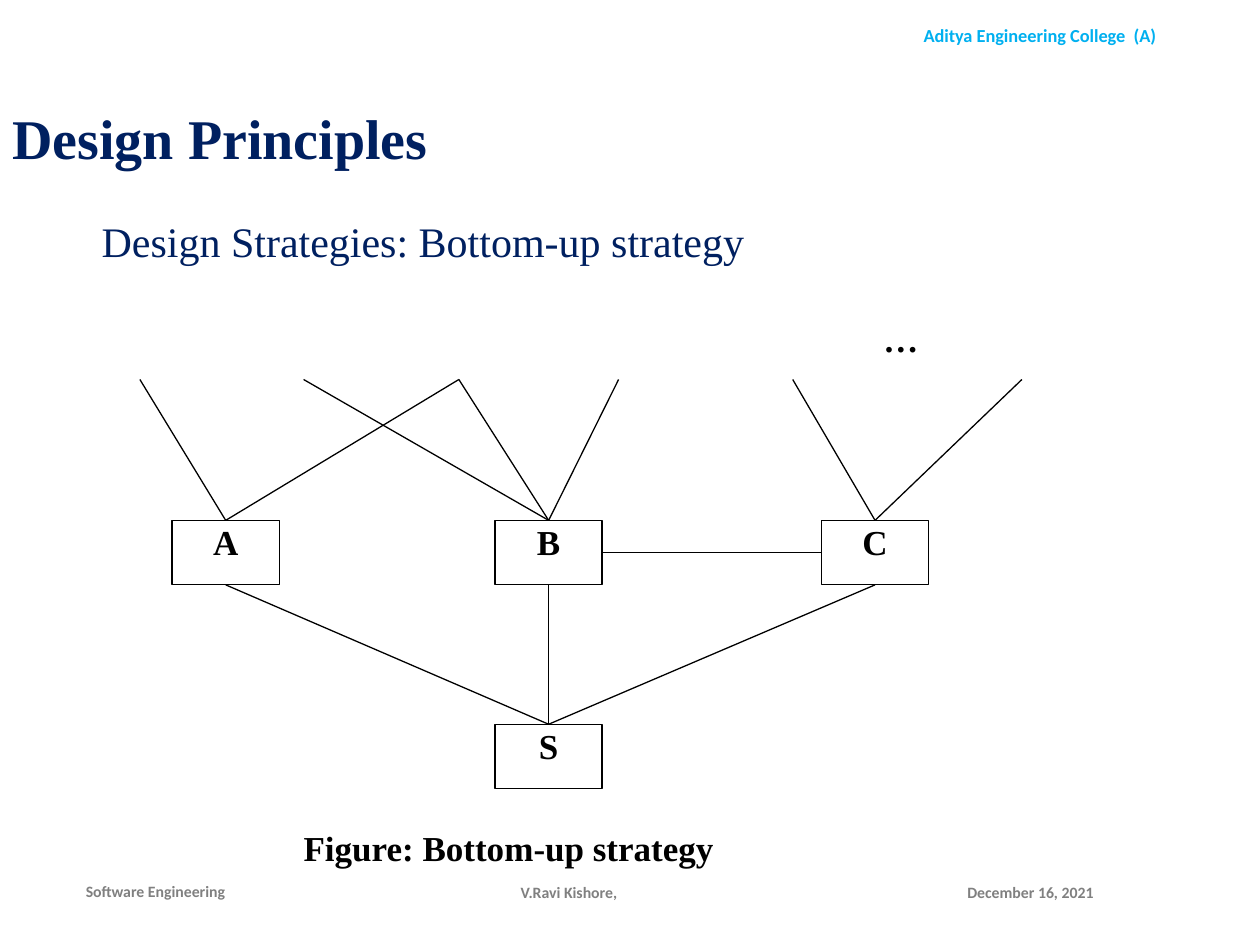
"""Build the slide on the bottom-up design strategy."""
from dataclasses import dataclass

from lxml import etree
from pptx import Presentation
from pptx.dml.color import RGBColor
from pptx.enum.shapes import MSO_CONNECTOR, MSO_SHAPE
from pptx.enum.text import MSO_ANCHOR, PP_ALIGN
from pptx.oxml.ns import qn
from pptx.util import Cm, Pt

RECTANGLE = MSO_SHAPE.RECTANGLE
STRAIGHT = MSO_CONNECTOR.STRAIGHT
LEFT, CENTER, JUSTIFY = PP_ALIGN.LEFT, PP_ALIGN.CENTER, PP_ALIGN.JUSTIFY
TOP, MIDDLE = MSO_ANCHOR.TOP, MSO_ANCHOR.MIDDLE


@dataclass(frozen=True)
class Theme:
    navy: RGBColor = RGBColor(0x00, 0x20, 0x60)
    sky: RGBColor = RGBColor(0x00, 0xB0, 0xF0)
    gray: RGBColor = RGBColor(0x80, 0x80, 0x80)
    black: RGBColor = RGBColor(0x00, 0x00, 0x00)
    white: RGBColor = RGBColor(0xFF, 0xFF, 0xFF)
    serif: str = "Times New Roman"
    sans: str = "Calibri"
    title: Pt = Pt(32)
    subtitle: Pt = Pt(24)
    label: Pt = Pt(20)
    header: Pt = Pt(10.5)
    footer: Pt = Pt(9)
    line: Pt = Pt(0.75)


theme = Theme()


def write(shape, text, font, size, color, bold=True, align=LEFT, anchor=TOP):
    frame = shape.text_frame
    frame.word_wrap = True
    frame.vertical_anchor = anchor
    frame.text = text
    para = frame.paragraphs[0]
    para.alignment = align
    span = para.runs[0]
    span.font.name, span.font.size, span.font.bold = font, size, bold
    span.font.color.rgb = color
    return para


def add_label(page, text, left, top, width, height, outline, align):
    box = page.shapes.add_shape(RECTANGLE, Cm(left), Cm(top), Cm(width), Cm(height))
    box.shadow.inherit = False
    box.fill.solid()
    box.fill.fore_color.rgb = theme.white
    box.line.color.rgb = outline
    box.line.width = theme.line
    frame = box.text_frame
    frame.margin_left = frame.margin_right = frame.margin_top = frame.margin_bottom = 0
    write(box, text, theme.serif, theme.label, theme.black, align=align)


deck = Presentation()
deck.slide_width, deck.slide_height = Cm(25.4), Cm(19.05)
page = deck.slides.add_slide(deck.slide_layouts[6])

small_texts = [
    ("Aditya Engineering College  (A)", 17.32, 0.36, 7.29, 0.71,
     theme.header, theme.sky, CENTER, TOP),
    ("Software Engineering", 1.48, 17.45, 4.2, 1.02,
     theme.footer, theme.gray, JUSTIFY, MIDDLE),
    ("December 16, 2021", 19.25, 17.48, 4.39, 1.02,
     theme.footer, theme.gray, LEFT, MIDDLE),
    ("V.Ravi Kishore,", 8.61, 17.48, 5.72, 1.02,
     theme.footer, theme.gray, CENTER, MIDDLE),
]
for text, left, top, width, height, size, color, align, anchor in small_texts:
    box = page.shapes.add_textbox(Cm(left), Cm(top), Cm(width), Cm(height))
    write(box, text, theme.sans, size, color, align=align, anchor=anchor)

headings = [
    ("Design Strategies: Bottom-up strategy", 1.8, 4.34, 12.6, theme.subtitle, False, TOP),
    ("Design Principles", 0, 1.02, 3.68, theme.title, True, MIDDLE),
]
for text, left, top, height, size, bold, anchor in headings:
    box = page.shapes.add_textbox(Cm(left), Cm(top), Cm(21.9), Cm(height))
    para = write(box, text, theme.serif, size, theme.navy, bold=bold, anchor=anchor)
    para.line_spacing = 0.9

node_width, node_height = 2.16, 1.3
open_y, module_y, system_y = 7.65, 10.49, 14.6
centers = {"A": 4.55, "B": 11.06, "C": 17.64}
sources = {"A": [2.82, 9.25], "B": [6.12, 9.25, 12.47], "C": [15.98, 20.6]}

nodes = [(name, x, module_y) for name, x in centers.items()]
nodes.append(("S", centers["B"], system_y))
for name, x, y in nodes:
    add_label(page, name, x - node_width / 2, y, node_width, node_height,
              theme.black, CENTER)

middle_y = module_y + node_height / 2
links = [(centers["B"] + node_width / 2, middle_y,
          centers["C"] - node_width / 2, middle_y)]
for name, x in centers.items():
    links += [(start, open_y, x, module_y) for start in sources[name]]
    links.append((x, module_y + node_height, centers["B"], system_y))

for link in links:
    connector = page.shapes.add_connector(STRAIGHT, *[Cm(value) for value in link])
    connector.line.color.rgb = theme.black
    connector.line.width = theme.line
    etree.SubElement(connector._element.spPr, qn("a:effectLst"))

add_label(page, "…", 17.81, 6.4, 0.71, 1.27, theme.white, LEFT)
add_label(page, "Figure: Bottom-up strategy", 6.12, 16.66, 13.34, 1.17, theme.white, LEFT)

deck.save("out.pptx")
